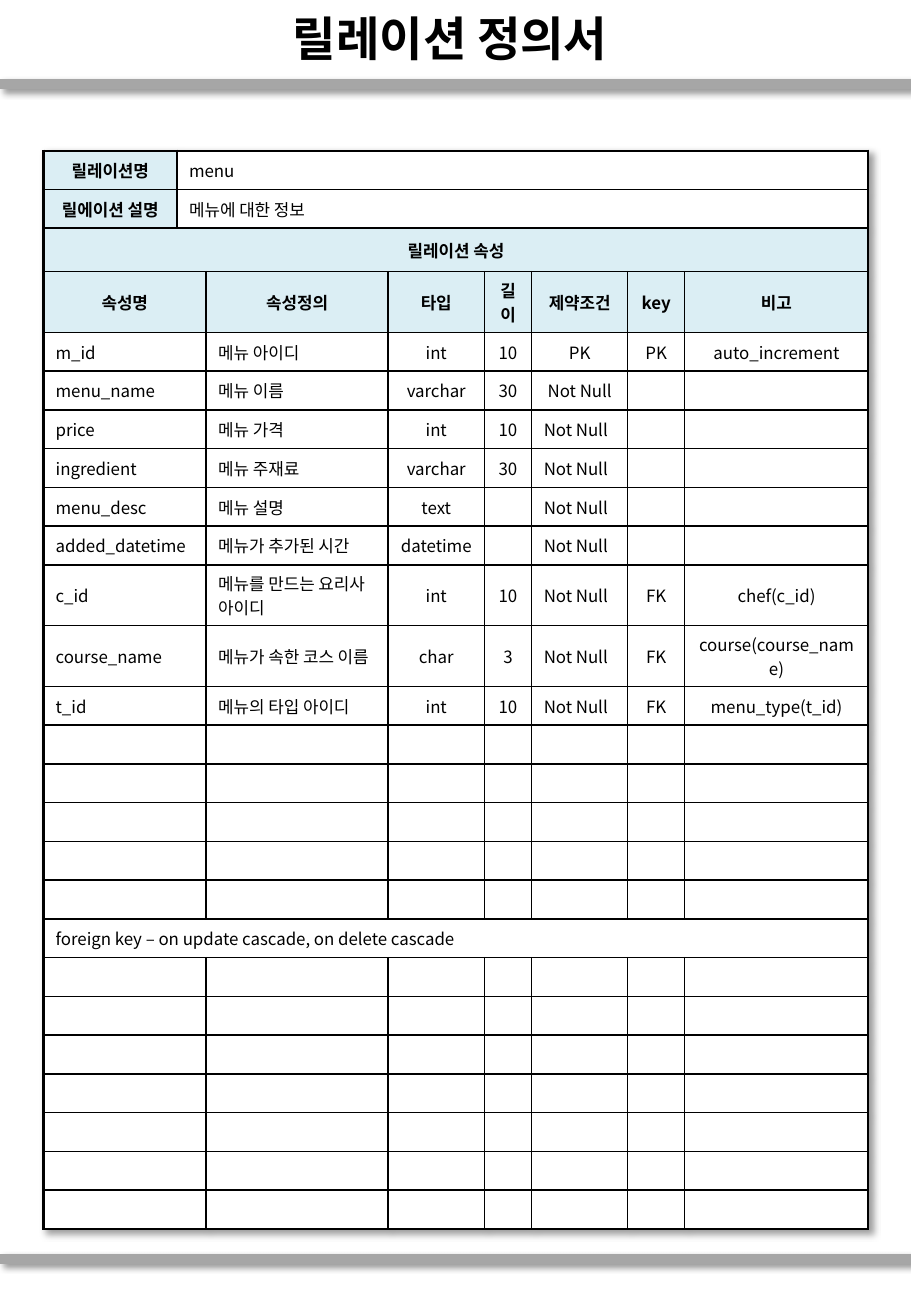
import dataclasses
import typing

import lxml.etree
import pptx
import pptx.dml.color
import pptx.enum.shapes
import pptx.enum.text
import pptx.oxml.ns
import pptx.slide
import pptx.table
import pptx.text.text
import pptx.util

Cm = pptx.util.Cm
Pt = pptx.util.Pt
qn = pptx.oxml.ns.qn
CENTER = pptx.enum.text.PP_ALIGN.CENTER
LEFT = pptx.enum.text.PP_ALIGN.LEFT

BLACK = pptx.dml.color.RGBColor(0x00, 0x00, 0x00)
WHITE = pptx.dml.color.RGBColor(0xFF, 0xFF, 0xFF)
GRAY = pptx.dml.color.RGBColor(0xA6, 0xA6, 0xA6)
PALE_BLUE = pptx.dml.color.RGBColor(0xDB, 0xEE, 0xF4)

TITLE_FONT = "Arial"
TABLE_FONT = "Noto Sans CJK KR"
NO_TABLE_STYLE = "{2D5ABB26-0587-4C30-8999-92F81FD0307C}"
SLIDE_WIDTH = Cm(19.05)
SLIDE_HEIGHT = Cm(27.51)
COLUMN_WIDTHS = (2.79, 0.41, 3.81, 2.01, 0.99, 2.01, 1.19, 3.84)
LAST_COLUMN = len(COLUMN_WIDTHS) - 1
ROW_HEIGHT, SECTION_HEIGHT, TALL_HEIGHT = 0.81, 0.91, 1.27
THIN, THICK = 1, 1.5


@dataclasses.dataclass(frozen=True)
class Entry:
    text: str = ""
    span: int = 1
    heading: bool = False
    centered: bool = False


@dataclasses.dataclass(frozen=True)
class Row:
    entries: tuple[Entry, ...]
    height: float = ROW_HEIGHT


def labelled(label: str, value: str) -> Row:
    return Row((Entry(label, 1, True, True), Entry(value, LAST_COLUMN)))


def attribute(
    name: str = "",
    meaning: str = "",
    kind: str = "",
    length: str = "",
    constraint: str = "",
    key: str = "",
    note: str = "",
    height: float = ROW_HEIGHT,
    center_constraint: bool = False,
) -> Row:
    return Row(
        (
            Entry(name, 2),
            Entry(meaning),
            Entry(kind, centered=True),
            Entry(length, centered=True),
            Entry(constraint, centered=center_constraint),
            Entry(key, centered=True),
            Entry(note, centered=True),
        ),
        height,
    )


COLUMN_HEADINGS = ("속성명", "속성정의", "타입", "길이", "제약조건", "key", "비고")
ROWS = (
    labelled("릴레이션명", "menu"),
    labelled("릴에이션 설명", "메뉴에 대한 정보"),
    Row((Entry("릴레이션 속성", 8, True, True),), SECTION_HEIGHT),
    Row(
        tuple(
            Entry(heading, 2 if position == 0 else 1, True, True)
            for position, heading in enumerate(COLUMN_HEADINGS)
        ),
        TALL_HEIGHT,
    ),
    attribute("m_id", "메뉴 아이디", "int", "10", "PK", "PK", "auto_increment",
              center_constraint=True),
    attribute("menu_name", "메뉴 이름", "varchar", "30", "Not Null",
              center_constraint=True),
    attribute("price", "메뉴 가격", "int", "10", "Not Null"),
    attribute("ingredient", "메뉴 주재료", "varchar", "30", "Not Null"),
    attribute("menu_desc", "메뉴 설명", "text", "", "Not Null"),
    attribute("added_datetime", "메뉴가 추가된 시간", "datetime", "", "Not Null"),
    attribute("c_id", "메뉴를 만드는 요리사 아이디", "int", "10", "Not Null", "FK",
              "chef(c_id)", TALL_HEIGHT),
    attribute("course_name", "메뉴가 속한 코스 이름", "char", "3", "Not Null", "FK",
              "course(course_name)", TALL_HEIGHT),
    attribute("t_id", "메뉴의 타입 아이디", "int", "10", "Not Null", "FK",
              "menu_type(t_id)"),
    *[attribute()] * 5,
    Row((Entry("foreign key – on update cascade, on delete cascade", 8),)),
    *[attribute()] * 7,
)


def add_element(parent: typing.Any, tag: str, **attributes: str) -> typing.Any:
    return lxml.etree.SubElement(parent, qn(tag), attributes)


def add_shadow(parent: typing.Any) -> typing.Any:
    effects = add_element(parent, "a:effectLst")
    shadow = add_element(
        effects, "a:outerShdw", blurRad=str(Pt(4)), dist=str(Pt(3)),
        dir="2700000", algn="tl", rotWithShape="0",
    )
    tint = add_element(shadow, "a:srgbClr", val=str(BLACK))
    add_element(tint, "a:alpha", val="40000")
    return effects


def write(
    paragraph: pptx.text.text._Paragraph,
    text: str,
    font_name: str,
    size: float,
    bold: bool,
    centered: bool,
) -> None:
    paragraph.text = text
    paragraph.alignment = CENTER if centered else LEFT
    for run in paragraph.runs:
        run.font.size = Pt(size)
        run.font.bold = bold
        run.font.color.rgb = BLACK
        run.font.name = font_name
        add_element(run.font._element, "a:ea", typeface=TABLE_FONT)
    if not text:
        add_element(paragraph._p, "a:endParaRPr", sz=str(round(size * 100)))


def add_bar(slide: pptx.slide.Slide, y: float) -> None:
    bar = slide.shapes.add_connector(
        pptx.enum.shapes.MSO_CONNECTOR.STRAIGHT, 0, Cm(y), SLIDE_WIDTH, Cm(y)
    )
    bar.line.color.rgb = GRAY
    bar.line.width = Pt(6)
    add_shadow(bar._element.spPr)


def add_title(slide: pptx.slide.Slide) -> None:
    title = slide.shapes.add_textbox(0, Cm(0.03), SLIDE_WIDTH, Cm(1.52))
    frame = title.text_frame
    frame.word_wrap = True
    frame.vertical_anchor = pptx.enum.text.MSO_ANCHOR.MIDDLE
    write(frame.paragraphs[0], "릴레이션 정의서 ", TITLE_FONT, 28, True, True)


def draw_borders(cell: pptx.table._Cell, outer: dict[str, bool]) -> None:
    properties = cell._tc.get_or_add_tcPr()
    for side, is_outer in outer.items():
        width = Pt(THICK if is_outer else THIN)
        border = add_element(properties, f"a:ln{side}", w=str(width))
        fill = add_element(border, "a:solidFill")
        add_element(fill, "a:srgbClr", val=str(BLACK))


def add_definition(slide: pptx.slide.Slide) -> None:
    height = Cm(sum(row.height for row in ROWS))
    definition = slide.shapes.add_table(
        len(ROWS), len(COLUMN_WIDTHS), Cm(0.91), Cm(3.15),
        Cm(sum(COLUMN_WIDTHS)), height,
    ).table
    definition.first_row = definition.horz_banding = False
    properties = definition._tbl.tblPr
    properties.find(qn("a:tableStyleId")).text = NO_TABLE_STYLE
    properties.insert(0, add_shadow(properties))
    for column, width in zip(definition.columns, COLUMN_WIDTHS):
        column.width = Cm(width)
    for row_index, row in enumerate(ROWS):
        definition.rows[row_index].height = Cm(row.height)
        first = 0
        for entry in row.entries:
            last = first + entry.span - 1
            cell = definition.cell(row_index, first)
            if entry.span > 1:
                cell.merge(definition.cell(row_index, last))
            draw_borders(cell, {"L": first == 0, "R": last == LAST_COLUMN,
                                "T": row_index == 0, "B": row_index == len(ROWS) - 1})
            cell.fill.solid()
            cell.fill.fore_color.rgb = PALE_BLUE if entry.heading else WHITE
            cell.vertical_anchor = pptx.enum.text.MSO_ANCHOR.MIDDLE
            write(cell.text_frame.paragraphs[0], entry.text, TABLE_FONT, 10,
                  entry.heading, entry.centered)
            first = last + 1


def main() -> None:
    presentation = pptx.Presentation()
    presentation.slide_width = SLIDE_WIDTH
    presentation.slide_height = SLIDE_HEIGHT
    slide = presentation.slides.add_slide(presentation.slide_layouts[6])
    for y in (1.75, 26.31):
        add_bar(slide, y)
    add_title(slide)
    add_definition(slide)
    presentation.save("out.pptx")


if __name__ == "__main__":
    main()
